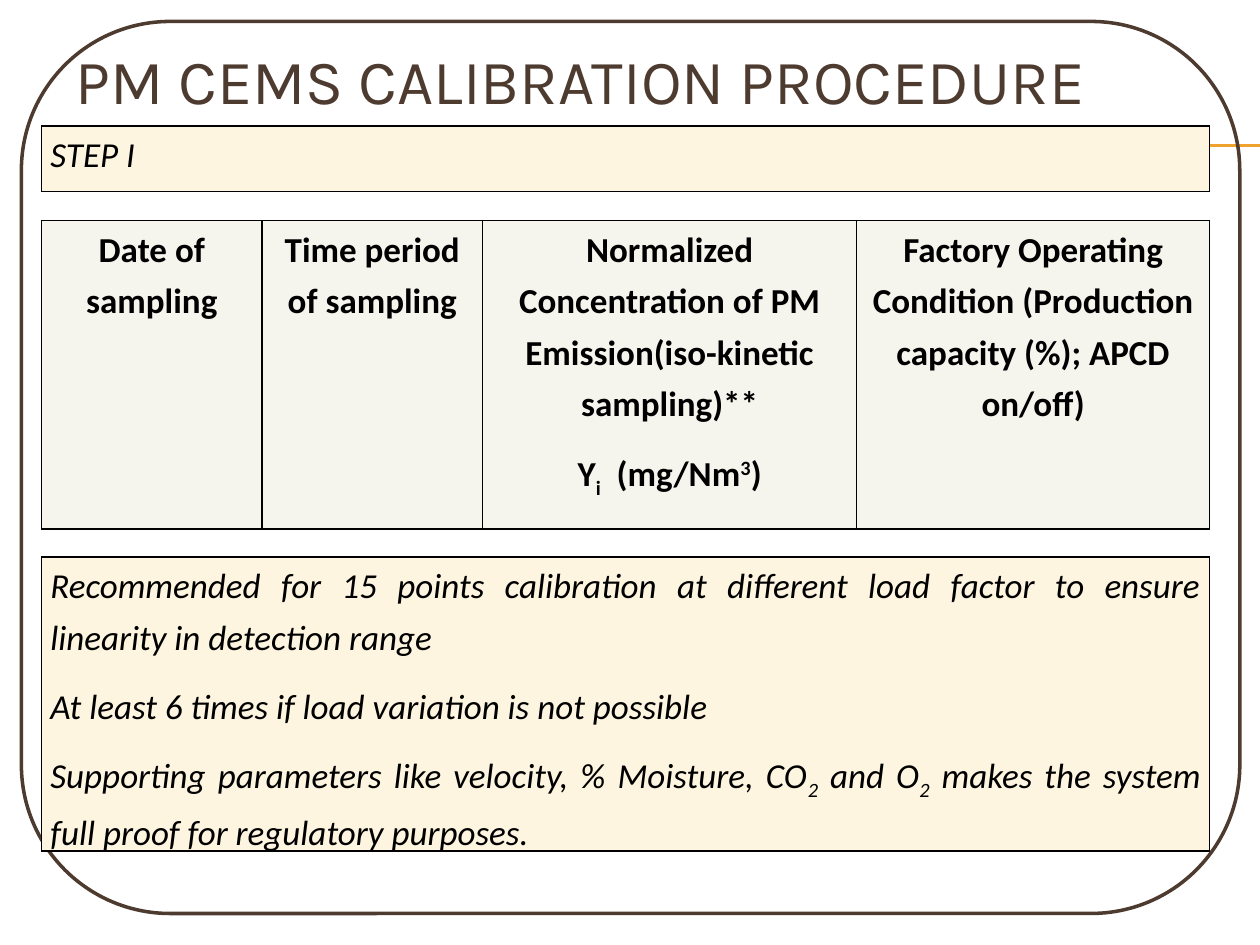
from lxml import etree
from pptx import Presentation
from pptx import util as u
from pptx.dml.color import RGBColor
from pptx.enum import shapes, text
from pptx.oxml import parse_xml
from pptx.oxml.ns import nsdecls, qn

BROWN, GOLD, BLACK = "4E3B30", "F0A22E", "000000"
CREAM, STONE = "FDF5DF", "F5F4ED"
TABLE_LEFT, TABLE_WIDTH = 0.33, 9.27
SUB, SUPER = -25, 30

STEP = [["STEP I"]]
HEADINGS = [
    [["Date of sampling"]],
    [["Time period of sampling"]],
    [["Normalized Concentration of PM Emission(iso-kinetic sampling)**"],
     ["Y", ("i", SUB), "  (mg/Nm", ("3", SUPER), ")"]],
    [["Factory Operating Condition (Production capacity (%); APCD on/off)"]],
]
ADVICE = [
    ["Recommended for 15 points calibration at different load factor "
     "to ensure linearity in detection range"],
    ["At least 6 times if load variation is not possible"],
    ["Supporting parameters like velocity, % Moisture, CO", ("2", SUB),
     " and O", ("2", SUB),
     " makes the system full proof for regulatory purposes."],
]


def color(value):
    return RGBColor.from_string(value)


def add_run(paragraph, piece, font, size, ink, bold=False, italic=False):
    """Add a string, or a (string, baseline percent) pair, as one run."""
    wording, baseline = piece if isinstance(piece, tuple) else (piece, 0)
    run = paragraph.add_run()
    run.text = wording
    run.font.name, run.font.size = font, u.Pt(size)
    run.font.bold, run.font.italic = bold, italic
    run.font.color.rgb = color(ink)
    if baseline:
        run.font._element.set("baseline", str(baseline * 1000))


def add_rule(slide, y):
    rule = slide.shapes.add_connector(
        shapes.MSO_CONNECTOR.STRAIGHT,
        u.Inches(0.56), u.Inches(y), u.Inches(10), u.Inches(y))
    rule.line.color.rgb = color(GOLD)
    rule.line.width = u.Pt(0.75)
    etree.SubElement(rule._element.spPr, qn("a:effectLst"))


def add_title(slide, wording):
    title = slide.shapes.add_textbox(
        u.Inches(0.5), u.Inches(0.17), u.Inches(8.33), u.Inches(0.92))
    frame = title.text_frame
    frame.word_wrap = True
    frame.vertical_anchor = text.MSO_ANCHOR.MIDDLE
    add_run(frame.paragraphs[0], wording, "Karla", 36, BROWN)


def add_frame(slide):
    frame = slide.shapes.add_shape(
        shapes.MSO_SHAPE.ROUNDED_RECTANGLE,
        u.Inches(0.17), u.Inches(0.17), u.Inches(9.67), u.Inches(7.08))
    frame.shadow.inherit = False
    frame.fill.background()
    frame.line.color.rgb = color(BROWN)
    frame.line.width = u.Pt(2)


def add_borders(cell):
    properties = cell._tc.get_or_add_tcPr()
    for side in ("lnL", "lnR", "lnT", "lnB"):
        properties.append(parse_xml(
            f'<a:{side} {nsdecls("a")} w="12700"><a:solidFill>'
            f'<a:srgbClr val="{BLACK}"/></a:solidFill></a:{side}>'))


def fill_cell(cell, paragraphs, fill, align, **style):
    add_borders(cell)
    cell.fill.solid()
    cell.fill.fore_color.rgb = color(fill)
    cell.margin_left = cell.margin_right = u.Inches(0.07)
    cell.margin_top = cell.margin_bottom = 0
    for index, pieces in enumerate(paragraphs):
        frame = cell.text_frame
        paragraph = frame.add_paragraph() if index else frame.paragraphs[0]
        paragraph.alignment = align
        paragraph.line_spacing = 1.2
        paragraph.space_after = u.Pt(10)
        for piece in pieces:
            add_run(paragraph, piece, "Calibri", 20, BLACK, **style)


def add_row_table(slide, top, height, widths, cells, fill, align, **style):
    """Add a table of one row."""
    table = slide.shapes.add_table(
        1, len(cells), u.Inches(TABLE_LEFT), u.Inches(top),
        u.Inches(TABLE_WIDTH), u.Inches(height)).table
    table.first_row = table.horz_banding = False
    for index, (width, paragraphs) in enumerate(zip(widths, cells)):
        table.columns[index].width = u.Inches(width)
        fill_cell(table.cell(0, index), paragraphs, fill, align, **style)


def add_note(slide, top, height, paragraphs):
    add_row_table(slide, top, height, [TABLE_WIDTH], [paragraphs], CREAM,
                  text.PP_ALIGN.JUSTIFY, italic=True)


def main():
    deck = Presentation()
    deck.slide_width, deck.slide_height = u.Inches(10), u.Inches(7.5)
    slide = deck.slides.add_slide(deck.slide_layouts[6])
    for y in (1.15, 1.16):
        add_rule(slide, y)
    add_title(slide, "PM CEMS CALIBRATION PROCEDURE")
    add_row_table(slide, 1.75, 2.45, [1.75, 1.75, 2.97, 2.8], HEADINGS, STONE,
                  text.PP_ALIGN.CENTER, bold=True)
    add_frame(slide)
    add_note(slide, 4.42, 2.28, ADVICE)
    add_note(slide, 1, 0.52, STEP)
    deck.save("out.pptx")


if __name__ == "__main__":
    main()
